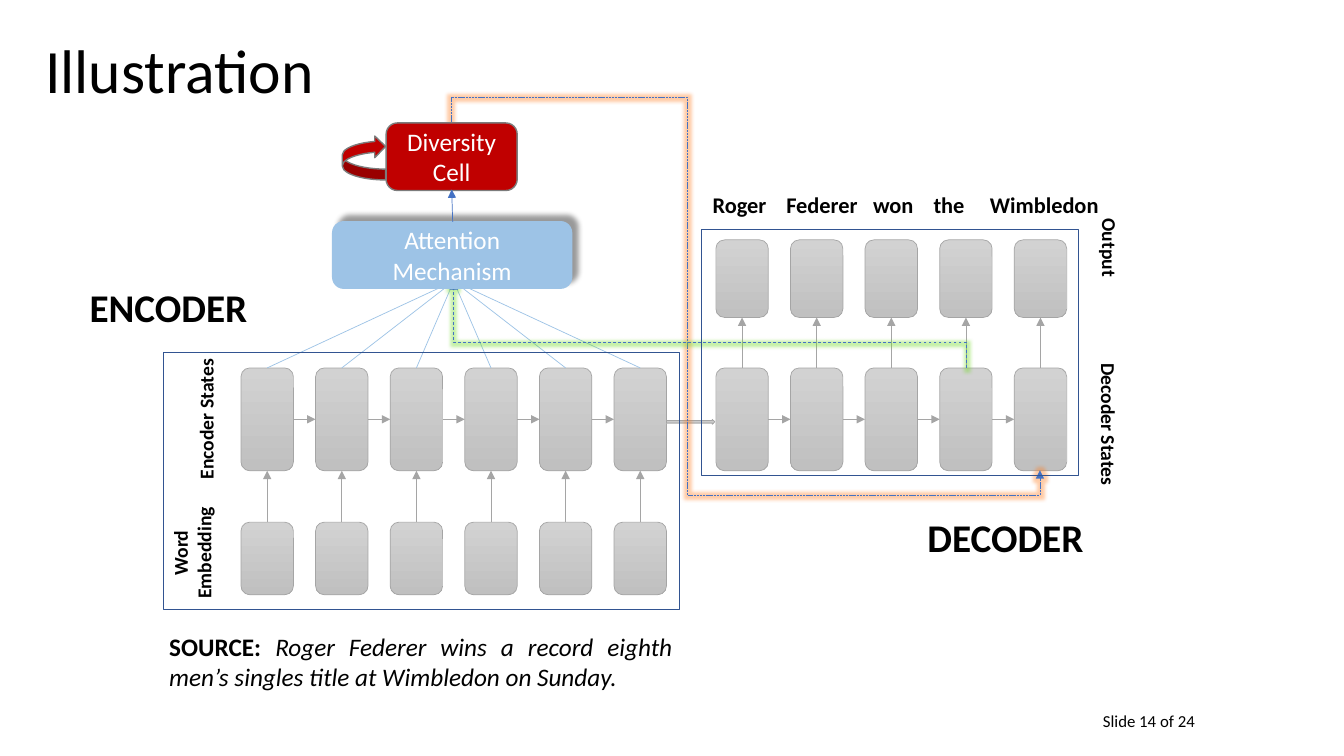
from lxml import etree
from pptx import Presentation
from pptx.dml.color import RGBColor
from pptx.enum.dml import MSO_LINE
from pptx.enum.shapes import MSO_CONNECTOR, MSO_SHAPE
from pptx.enum.text import MSO_ANCHOR, PP_ALIGN
from pptx.oxml import parse_xml
from pptx.oxml.ns import qn
from pptx.util import Inches, Pt

ROUND = MSO_SHAPE.ROUNDED_RECTANGLE
RECT = MSO_SHAPE.RECTANGLE
ARROW = MSO_SHAPE.RIGHT_ARROW
CURVE = MSO_SHAPE.CURVED_DOWN_ARROW
STRAIGHT, ELBOW = MSO_CONNECTOR.STRAIGHT, MSO_CONNECTOR.ELBOW
DASH, DOTS = MSO_LINE.DASH, MSO_LINE.SQUARE_DOT
LEFT, CENTER, JUSTIFY = PP_ALIGN.LEFT, PP_ALIGN.CENTER, PP_ALIGN.JUSTIFY
TOP, MIDDLE = MSO_ANCHOR.TOP, MSO_ANCHOR.MIDDLE
rgb = RGBColor.from_string
NS = 'xmlns:a="http://schemas.openxmlformats.org/drawingml/2006/main"'
GRAY, BLUE, SKY, RED = "A5A5A5", "4472C4", "9DC3E6", "C00000"

prs = Presentation()
prs.slide_width, prs.slide_height = Inches(13.33), Inches(7.5)
slide = prs.slides.add_slide(prs.slide_layouts[6])
shapes = slide.shapes


def block(kind, box, fill, edge, width):
    """Add a shape; fill is a colour, a pair for a gradient, or None."""
    shape = shapes.add_shape(kind, *map(Inches, box))
    shape.shadow.inherit = False
    if fill is None:
        shape.fill.background()
    elif isinstance(fill, tuple):
        shape.fill.gradient()
        shape.fill.gradient_angle = 270
        for stop, color in zip(shape.fill.gradient_stops, fill):
            stop.color.rgb = rgb(color)
    else:
        shape.fill.solid()
        shape.fill.fore_color.rgb = rgb(fill)
    shape.line.color.rgb = rgb(edge)
    shape.line.width = Pt(width)
    return shape


def arrow(kind, ends, color):
    """Add a thin connector with a triangle at its end."""
    link = shapes.add_connector(kind, *map(Inches, ends))
    link.line.color.rgb = rgb(color)
    link.line.width = Pt(0.5)
    etree.SubElement(link.line._get_or_add_ln(), qn("a:tailEnd"), type="triangle")
    etree.SubElement(link._element.spPr, qn("a:effectLst"))
    return link


# Cells of both networks: left, count, top and height of each row
PITCH, WIDE = 0.74, 0.52
SHADE = ("D2D2D2", "C0C0C0")
STATE, FLOW = 3.65, 4.16
for left, count, row, high in ((2.39, 6, 5.18, 0.72), (7.1, 5, 2.38, 0.77)):
    lower = max(row, STATE)
    upper = STATE + 1.02 if row > STATE else row + high
    for i in range(count):
        x = left + i * PITCH
        mid = x + WIDE / 2
        block(ROUND, (x, STATE, WIDE, 1.02), SHADE, GRAY, 0.5)
        block(ROUND, (x, row, WIDE, high), SHADE, GRAY, 0.5)
        arrow(STRAIGHT, (mid, lower, mid, upper), GRAY)
        if i:
            arrow(STRAIGHT, (x - PITCH + WIDE, FLOW, x, FLOW), GRAY)
        if row > STATE:
            arrow(STRAIGHT, (mid, STATE, 4.5, 2.79), SKY)
block(ARROW, (6.61, FLOW, 0.48, 0.05), SHADE, GRAY, 0.5)

# Glowing feedback paths, turned a quarter: ends before the turn, bends, glow
paths = (
    ((9.12, 0.02, 5.67, 5.86), "bentConnector5", (-7200, 40200, 107200), DOTS, "FF7D20"),
    ((6.61, 5.76, 7.47, 0.68), "bentConnector3", (29400,), DASH, "6FDB22"),
)
for ends, bend, turns, dash, glow in paths:
    link = arrow(ELBOW, ends, BLUE)
    link.line.dash_style = dash
    props = link._element.spPr
    props.find(qn("a:xfrm")).set("rot", "16200000")
    geom = props.find(qn("a:prstGeom"))
    geom.set("prst", bend)
    for i, turn in enumerate(turns, 1):
        name = f"adj{i}"
        etree.SubElement(geom.find(qn("a:avLst")), qn("a:gd"), name=name, fmla=f"val {turn}")
    props.find(qn("a:effectLst")).append(parse_xml(
        f'<a:glow {NS} rad="63500"><a:srgbClr val="{glow}">'
        '<a:alpha val="40000"/></a:srgbClr></a:glow>'))

# Diversity cell and attention mechanism
cell = block(ROUND, (3.83, 1.22, 1.3, 0.67), RED, "7C7C7C", 1)
loop = block(CURVE, (3.39, 1.35, 0.44, 0.43), RED, "7C7C7C", 1)
loop.rotation = 270
focus = block(ROUND, (3.3, 2.2, 2.37, 0.66), SKY, SKY, 1)
focus._element.spPr.find(qn("a:effectLst")).append(parse_xml(
    f'<a:outerShdw {NS} blurRad="50800" dist="76200" dir="18900000" algn="bl" rotWithShape="0">'
    '<a:srgbClr val="000000"><a:alpha val="40000"/></a:srgbClr></a:outerShdw>'))
for shape, words in ((cell, "Diversity Cell"), (focus, "Attention Mechanism")):
    frame = shape.text_frame
    frame.word_wrap = True
    frame.vertical_anchor = MIDDLE
    para = frame.paragraphs[0]
    para.text = words
    para.alignment = CENTER
    para.font.name, para.font.size = "Calibri", Pt(18)
    para.font.color.rgb = rgb("FFFFFF")
arrow(STRAIGHT, (4.49, 2.2, 4.48, 1.88), BLUE)

# Frames around encoder and decoder
for box in ((6.96, 2.28, 3.74, 2.44), (1.62, 3.5, 5.12, 2.55)):
    block(RECT, box, None, "325491", 1)

# Text: box, turn, size, bold, alignment, anchor, runs
SOURCE = ("SOURCE: ", "Roger Federer wins a record eighth men’s singles title at Wimbledon on Sunday.")
OUTPUT = "Roger\tFederer\twon\tthe\tWimbledon"
labels = (
    ((0.35, -0.04, 11.5, 1.45), 0, 44, False, LEFT, MIDDLE, ("Illustration",)),
    ((0.79, 2.76, 2, 0.57), 0, 28, True, LEFT, TOP, ("ENCODER",)),
    ((9.1, 5.04, 2, 0.57), 0, 28, True, LEFT, TOP, ("DECODER",)),
    ((1.31, 3.99, 1.47, 0.34), 270, 14, True, CENTER, TOP, ("Encoder States",)),
    ((1.17, 5.2, 1.47, 0.57), 270, 14, True, CENTER, TOP, ("Word Embedding",)),
    ((10.26, 4.04, 1.47, 0.34), 90, 14, True, CENTER, TOP, ("Decoder States",)),
    ((10.27, 2.29, 1.47, 0.34), 90, 14, True, CENTER, TOP, ("Output",)),
    ((1.58, 6.21, 5.19, 0.71), 0, 18, None, JUSTIFY, TOP, SOURCE),
    ((6.97, 1.85, 4.88, 0.37), 0, 16, True, LEFT, TOP, (OUTPUT,)),
    ((10.84, 7, 2.49, 0.3), 0, 12, False, LEFT, TOP, ("Slide 14 of 24",)),
)
for box, turn, size, bold, align, anchor, runs in labels:
    label = shapes.add_textbox(*map(Inches, box))
    label.rotation = turn
    frame = label.text_frame
    frame.word_wrap = True
    frame.vertical_anchor = anchor
    para = frame.paragraphs[0]
    para.alignment = align
    for words in runs:
        para.add_run().text = words
    if OUTPUT in runs:
        tabs = etree.SubElement(para._p.get_or_add_pPr(), qn("a:tabLst"))
        for stop in (0.73, 1.59, 2.19, 2.75):
            etree.SubElement(tabs, qn("a:tab"), pos=str(Inches(stop)), algn="l")
    para.font.name, para.font.size, para.font.bold = "Calibri", Pt(size), bold
    para.font.color.rgb = rgb("000000")
    if runs is SOURCE:
        para.runs[0].font.bold = True
        para.runs[1].font.italic = True

prs.save("out.pptx")
